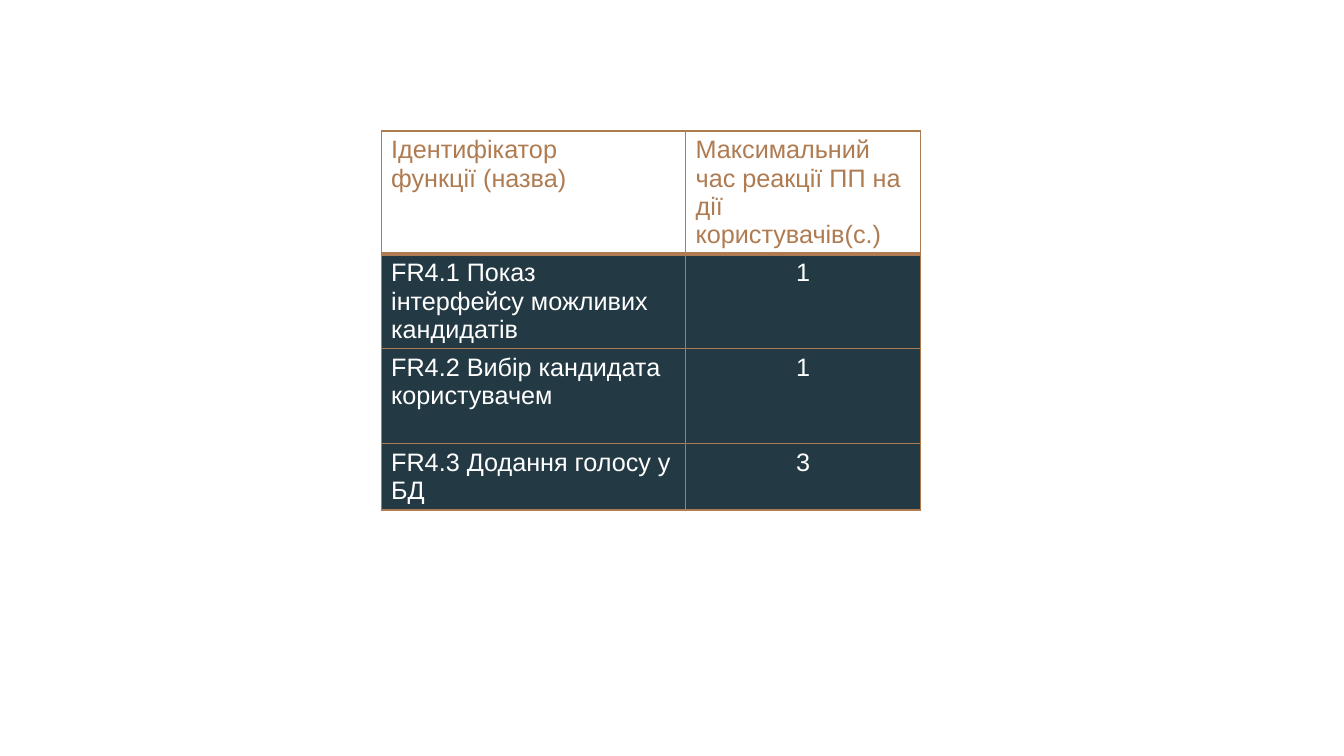
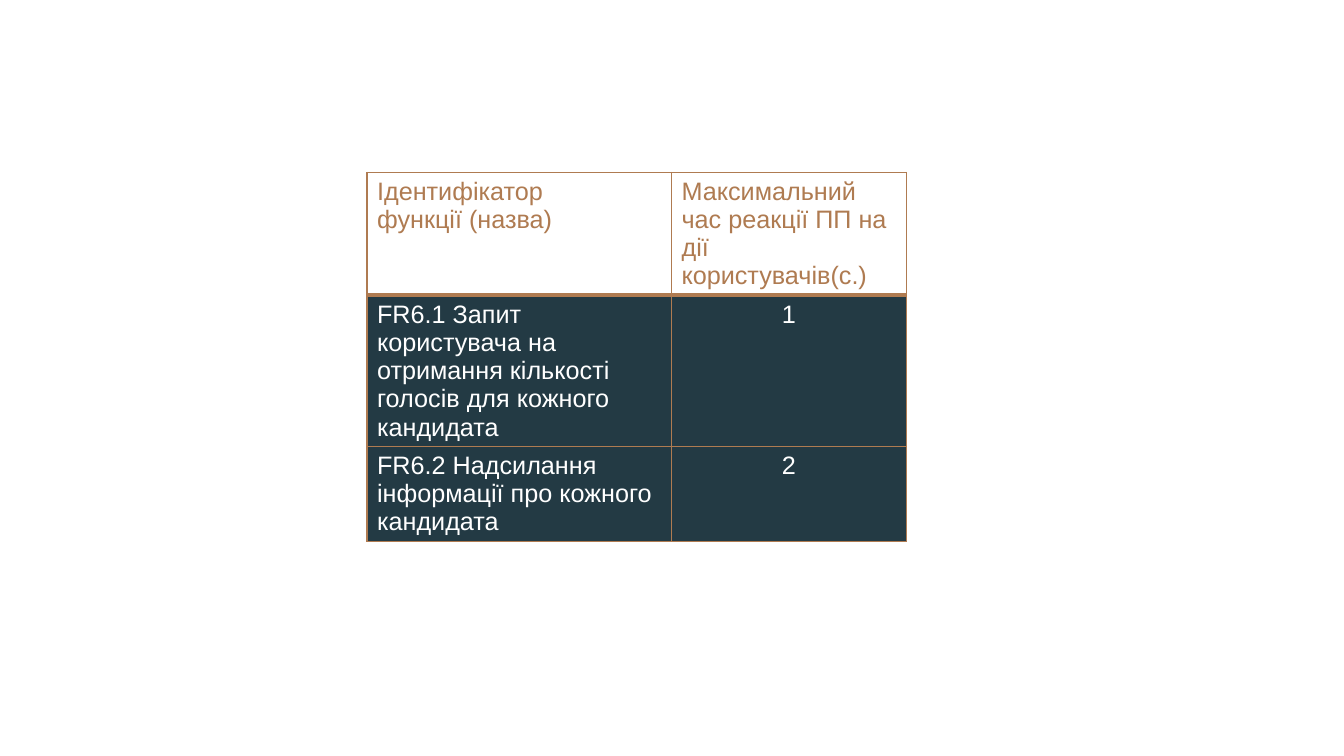
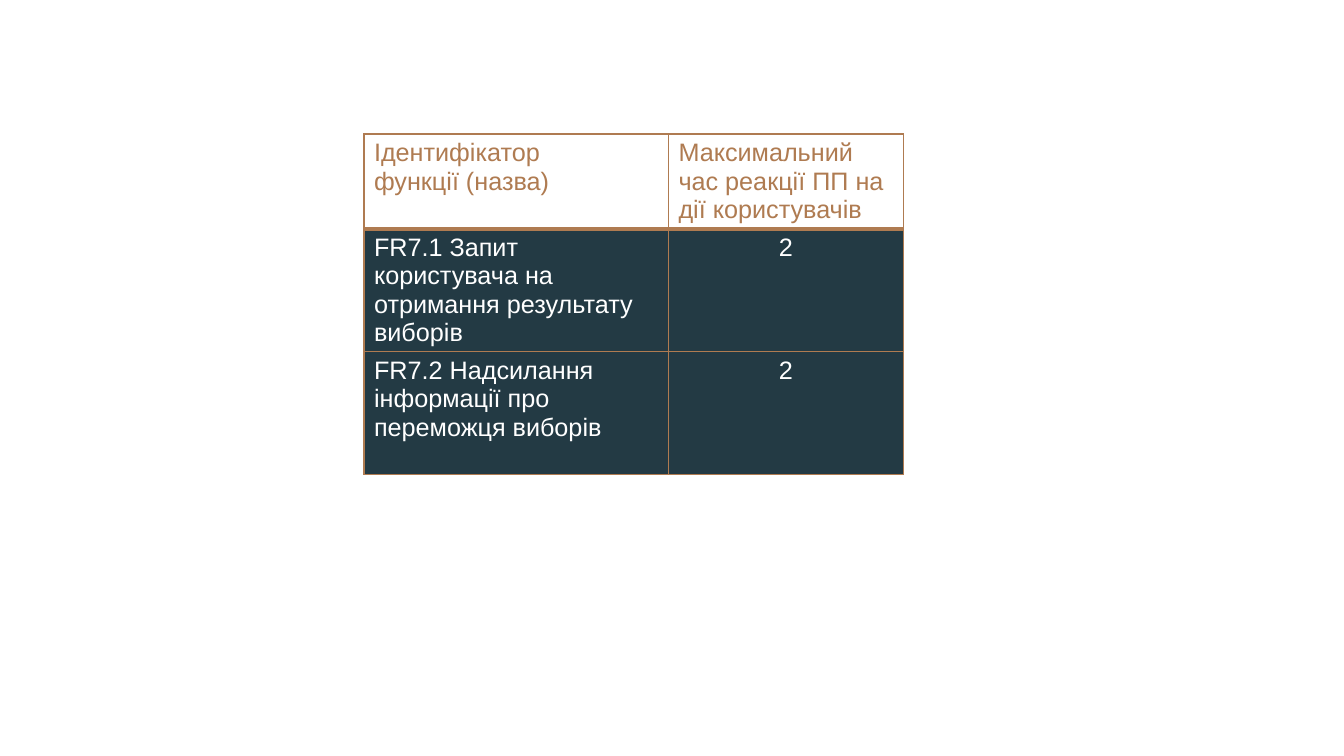
import pptx
import pptx.dml.color
import pptx.enum.text
import pptx.oxml
import pptx.oxml.ns
import pptx.util
from pptx.util import Inches

NAME = "Ідентифікатор\nфункції (назва)"
TIME = "Максимальний час реакції ПП на дії користувачів"
TABLES = [
    (3.78, 1.3, [
        (NAME, TIME + "(c.)", 4),
        ("FR4.1 Показ інтерфейсу можливих кандидатів", "1", 3),
        ("FR4.2 Вибір кандидата користувачем", "1", 3),
        ("FR4.3 Додання голосу у БД", "3", 2),
    ]),
    (3.64, 1.71, [
        (NAME, TIME + "(c.)", 4),
        ("FR6.1 Запит користувача на отримання кількості голосів для кожного кандидата", "1", 5),
        ("FR6.2 Надсилання інформації про кожного кандидата", "2", 3),
    ]),
    (3.61, 1.33, [
        (NAME, TIME, 3),
        ("FR7.1 Запит користувача на отримання результату виборів", "2", 4),
        ("FR7.2 Надсилання інформації про переможця виборів", "2", 4),
    ]),
]


def rgb(value):
    return pptx.dml.color.RGBColor.from_string(value)


class Deck:
    FONT = "Arial"
    SIZE = 18
    BRONZE = "AF7B51"
    DARK = "233A44"
    WHITE = "FFFFFF"
    COLS = (3.02, 2.33)
    LINE = 0.28
    PADDING = 0.1

    def __init__(self):
        self.prs = pptx.Presentation()
        self.prs.slide_width = Inches(13.33)
        self.prs.slide_height = Inches(7.5)
        self.s = None

    def slide(self):
        self.s = self.prs.slides.add_slide(self.prs.slide_layouts[6])
        self.s.background.fill.solid()
        self.s.background.fill.fore_color.rgb = rgb(self.WHITE)

    def borders(self, cell, top, bottom):
        tcPr = cell._tc.get_or_add_tcPr()
        widths = {"lnL": 1, "lnR": 1, "lnT": top, "lnB": bottom}
        for i, (side, width) in enumerate(widths.items()):
            tcPr.insert(i, pptx.oxml.parse_xml(
                f'<a:{side} {pptx.oxml.ns.nsdecls("a")} w="{pptx.util.Pt(width)}">'
                f'<a:solidFill><a:srgbClr val="{self.BRONZE}"/></a:solidFill></a:{side}>'))

    def cell(self, cell, text, header, centered):
        cell.fill.solid()
        cell.fill.fore_color.rgb = rgb(self.WHITE if header else self.DARK)
        cell.margin_left = cell.margin_right = Inches(0.1)
        cell.margin_top = cell.margin_bottom = Inches(0.05)
        cell.text_frame.text = text
        for p in cell.text_frame.paragraphs:
            p.font.name = self.FONT
            p.font.size = pptx.util.Pt(self.SIZE)
            p.font.bold = False
            p.font.color.rgb = rgb(self.BRONZE if header else self.WHITE)
            if centered:
                p.alignment = pptx.enum.text.PP_ALIGN.CENTER

    def table(self, left, top, rows):
        heights = [lines * self.LINE + self.PADDING for *_, lines in rows]
        table = self.s.shapes.add_table(
            len(rows), len(self.COLS), Inches(left), Inches(top),
            Inches(sum(self.COLS)), Inches(sum(heights))).table
        table.horz_banding = False
        for column, width in zip(table.columns, self.COLS):
            column.width = Inches(width)
        for i, (*texts, _) in enumerate(rows):
            table.rows[i].height = Inches(heights[i])
            for j, text in enumerate(texts):
                cell = table.cell(i, j)
                self.cell(cell, text, i == 0, i > 0 and j == 1)
                self.borders(cell, 3 if i == 1 else 1, 3 if i == 0 else 1)


def main():
    deck = Deck()
    for left, top, rows in TABLES:
        deck.slide()
        deck.table(left, top, rows)
    deck.prs.save("out.pptx")


if __name__ == "__main__":
    main()
